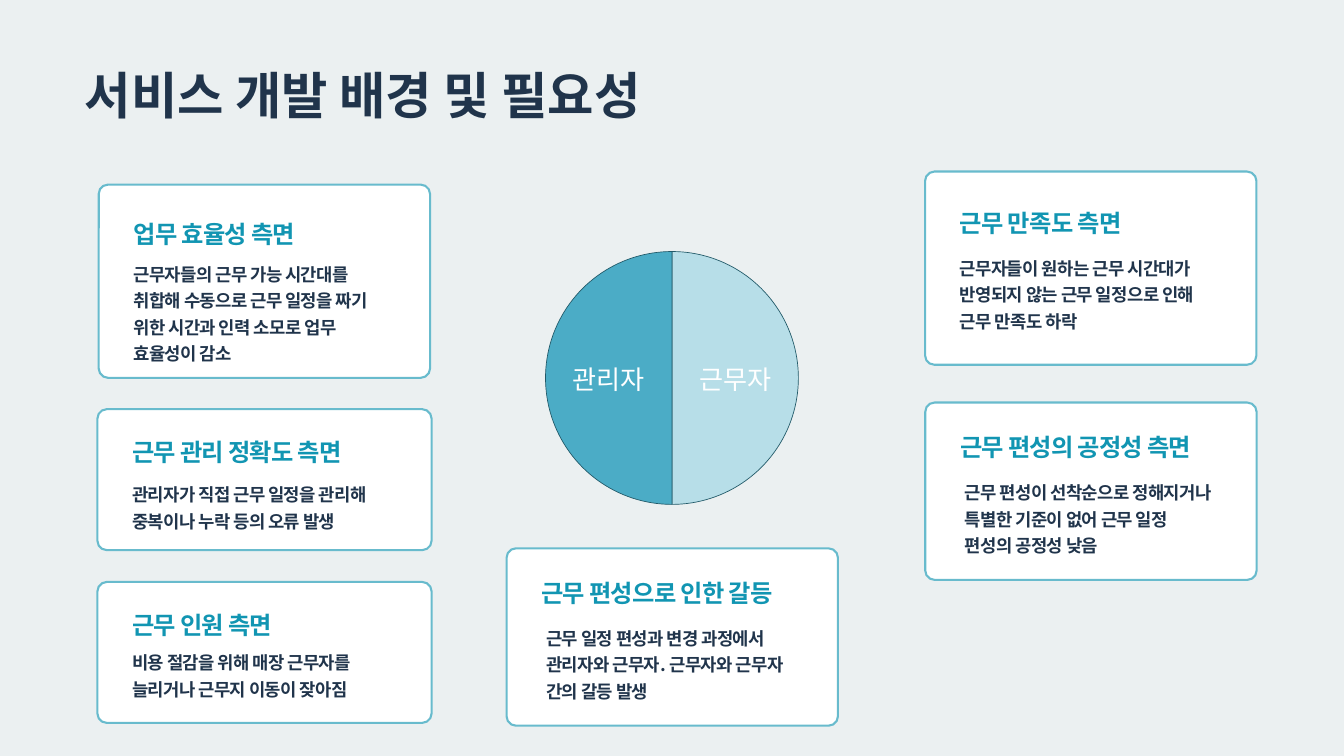
import pptx
import pptx.chart.data
import pptx.dml.color
import pptx.enum.chart
import pptx.enum.shapes
import pptx.enum.text
import pptx.oxml
import pptx.oxml.ns
import pptx.util

Pt = pptx.util.Pt
RGB = pptx.dml.color.RGBColor

BACK = RGB(0xEB, 0xF0, 0xF1)
WHITE = RGB(0xFF, 0xFF, 0xFF)
NAVY = RGB(0x20, 0x34, 0x4B)
TEAL = RGB(0x11, 0x95, 0xB2)
EDGE = RGB(0x68, 0xBB, 0xCD)
PALE = RGB(0xB7, 0xDE, 0xE8)
BLUE = RGB(0x4B, 0xAC, 0xC6)
DEEP = RGB(0x21, 0x59, 0x68)

FONT = "Noto Sans CJK KR"
RADIUS = 10
INSET = 37.2

# Card box, heading, heading offset, text, text offset (x, y), text width
CARDS = [
    ((991.2, 183.8, 355, 207), "근무 만족도 측면", 32,
     "근무자들이 원하는 근무 시간대가 반영되지 않는 근무 일정으로 인해 근무 만족도 하락",
     (INSET, 86.2), 266),
    ((105.8, 197.8, 355, 207), "업무 효율성 측면", 29,
     "근무자들의 근무 가능 시간대를 취합해 수동으로 근무 일정을 짜기 위한 시간과 인력 소모로 업무 효율성이 감소",
     (INSET, 78.7), 280),
    ((991.4, 431.3, 355, 190), "근무 편성의 공정성 측면", 24.4,
     "근무 편성이 선착순으로 정해지거나 특별한 기준이 없어 근무 일정 편성의 공정성 낮음",
     (42.5, 79.2), 266),
    ((104.4, 438.4, 358, 151), "근무 관리 정확도 측면", 22.4,
     "관리자가 직접 근무 일정을 관리해 중복이나 누락 등의 오류 발생",
     (INSET, 74.2), 281),
    ((542.8, 587.5, 355, 190), "근무 편성으로 인한 갈등", 23.8,
     "근무 일정 편성과 변경 과정에서 관리자와 근무자. 근무자와 근무자 간의 갈등 발생",
     (42.5, 79.2), 266),
    ((104.4, 623.5, 358, 151), "근무 인원 측면", 22.3,
     "비용 절감을 위해 매장 근무자를 늘리거나 근무지 이동이 잦아짐",
     (INSET, 69.1), 281),
]


def place(box):
    return [Pt(n) for n in box]


def write(frame, text, size, lead, color, track=0):
    """Fill a frame with one bold run; lead is the exact line height."""
    frame.word_wrap = True
    frame.auto_size = pptx.enum.text.MSO_AUTO_SIZE.NONE
    frame.vertical_anchor = pptx.enum.text.MSO_ANCHOR.TOP
    frame.margin_left = frame.margin_right = 0
    frame.margin_top = frame.margin_bottom = 0
    para = frame.paragraphs[0]
    para.alignment = pptx.enum.text.PP_ALIGN.LEFT
    para.line_spacing = Pt(lead)
    para.space_before = Pt(0)
    run = para.add_run()
    run.text = text
    run.font.size = Pt(size)
    run.font.bold = True
    run.font.color.rgb = color
    run.font.name = FONT
    props = run._r.get_or_add_rPr()
    if track:
        props.set("spc", str(round(track * 100)))
    east = pptx.oxml.parse_xml(
        f'<a:ea {pptx.oxml.ns.nsdecls("a")} typeface="{FONT}"/>')
    props.find(pptx.oxml.ns.qn("a:latin")).addnext(east)


def add_title(slide, box):
    title = slide.shapes.title
    title.left, title.top, title.width, title.height = place(box)
    write(title.text_frame, "서비스 개발 배경 및 필요성", 54, 55.9, NAVY)


def add_card(slide, box, head, drop, text, shift, wide):
    x, y, width, height = box
    card = slide.shapes.add_shape(
        pptx.enum.shapes.MSO_SHAPE.ROUNDED_RECTANGLE, *place(box))
    card.adjustments[0] = RADIUS / min(width, height)
    card.shadow.inherit = False
    card.fill.solid()
    card.fill.fore_color.rgb = WHITE
    card.line.color.rgb = EDGE
    card.line.width = Pt(2.25)

    label = slide.shapes.add_textbox(
        *place((x + INSET, y + drop, width - 2 * INSET, 36)))
    write(label.text_frame, head, 26, 39, TEAL, -0.8)

    dx, dy = shift
    body = slide.shapes.add_textbox(
        *place((x + dx, y + dy, wide, height - dy)))
    write(body.text_frame, text, 19, 28.5, NAVY, -0.6)


def add_pie(slide, box):
    data = pptx.chart.data.CategoryChartData()
    data.categories = ["근무자", "관리자"]
    data.add_series("Series 1", (50, 50))
    chart = slide.shapes.add_chart(
        pptx.enum.chart.XL_CHART_TYPE.PIE, *place(box), data).chart
    chart.has_legend = False
    chart.has_title = False
    chart.font.name = "Calibri"
    chart.font.size = Pt(10)

    plot = chart.plots[0]
    plot.vary_by_categories = True
    for index, color in enumerate((PALE, BLUE)):
        look = plot.series[0].points[index].format
        look.fill.solid()
        look.fill.fore_color.rgb = color
        look.line.color.rgb = DEEP
        look.line.width = Pt(0.75)

    plot.has_data_labels = True
    labels = plot.data_labels
    labels.show_category_name = True
    labels.show_value = False
    labels.show_percentage = False
    labels.position = pptx.enum.chart.XL_LABEL_POSITION.CENTER
    labels.font.name = "Calibri"
    labels.font.size = Pt(28)
    labels.font.color.rgb = WHITE
    size_plot(chart, box, 271)


def size_plot(chart, box, size):
    """Centre a square plot area of the given size in the chart."""
    wide, high = size / box[2], size / box[3]
    parts = {"x": (1 - wide) / 2, "y": (1 - high) / 2, "w": wide, "h": high}
    values = "".join(
        f'<c:{key} val="{value:.4f}"/>' for key, value in parts.items())
    layout = pptx.oxml.parse_xml(
        f'<c:layout {pptx.oxml.ns.nsdecls("c")}><c:manualLayout>'
        '<c:layoutTarget val="inner"/><c:xMode val="edge"/>'
        f'<c:yMode val="edge"/>{values}</c:manualLayout></c:layout>')
    area = chart._chartSpace.chart.plotArea
    for old in area.findall(pptx.oxml.ns.qn("c:layout")):
        area.remove(old)
    area.insert(0, layout)


def main():
    deck = pptx.Presentation()
    deck.slide_width, deck.slide_height = Pt(1440), Pt(810)
    slide = deck.slides.add_slide(deck.slide_layouts[5])
    slide.background.fill.solid()
    slide.background.fill.fore_color.rgb = BACK
    add_title(slide, (90.7, 77.8, 1021.7, 57))
    add_pie(slide, (478, 260, 484, 290))
    for card in CARDS:
        add_card(slide, *card)
    deck.save("out.pptx")


if __name__ == "__main__":
    main()
